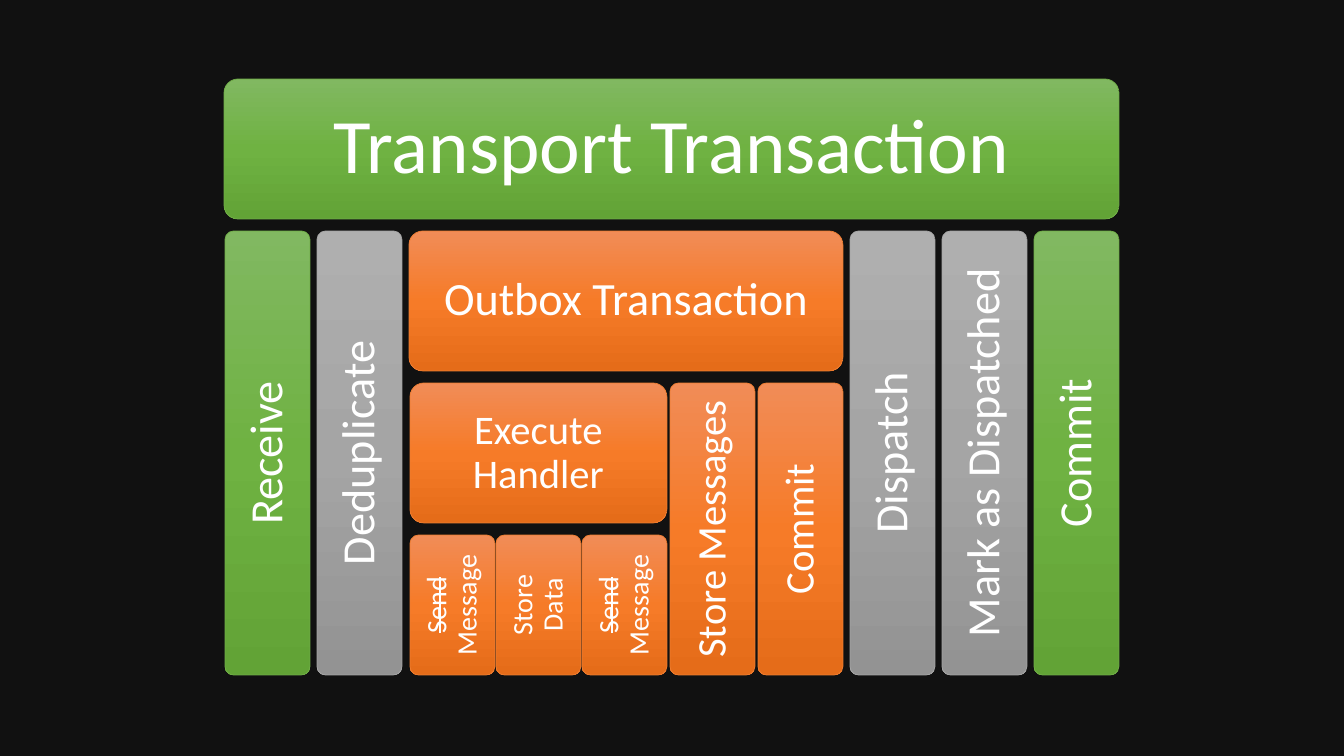
from copy import deepcopy

from pptx import Presentation
from pptx.dml.color import RGBColor
from pptx.enum.shapes import MSO_SHAPE
from pptx.enum.text import MSO_ANCHOR, PP_ALIGN
from pptx.oxml.ns import qn
from pptx.util import Pt

EMU_PER_PX = 914400 / 100.8

BACKGROUND = RGBColor(0x11, 0x11, 0x11)
WHITE = RGBColor(0xFF, 0xFF, 0xFF)

# Each palette: gradient top, middle, bottom, then outline
GREEN = (RGBColor(0x81, 0xB8, 0x61), RGBColor(0x6F, 0xB2, 0x42),
         RGBColor(0x62, 0xA3, 0x36), RGBColor(0x70, 0xAD, 0x47))
GRAY = (RGBColor(0xAF, 0xAF, 0xAF), RGBColor(0xA5, 0xA5, 0xA5),
        RGBColor(0x93, 0x93, 0x93), RGBColor(0xA5, 0xA5, 0xA5))
ORANGE = (RGBColor(0xF1, 0x8C, 0x57), RGBColor(0xF6, 0x7B, 0x28),
          RGBColor(0xE5, 0x6C, 0x19), RGBColor(0xED, 0x7D, 0x31))

# Four rows of blocks; narrow blocks share one width
FIRST_ROW_TOP = 79
ROW_HEIGHT = 140
ROW_PITCH = 152
NARROW_WIDTH = 85

# Text inset in px for each font size
INSETS = {55: 23, 33: 14, 29: 12, 20: 8}


def px(length):
    return round(length * EMU_PER_PX)


def paint(shape, palette):
    *stop_colors, outline = palette
    fill = shape.fill
    fill.gradient()
    fill.gradient_angle = 270
    stop_list = shape._element.spPr.find(qn("a:gradFill")).find(qn("a:gsLst"))
    stop_list.insert(1, deepcopy(stop_list[0]))
    for stop, color, position in zip(fill.gradient_stops, stop_colors, (0, 0.5, 1)):
        stop.color.rgb = color
        stop.position = position
    shape.line.color.rgb = outline
    shape.line.width = Pt(0.5)
    shape.shadow.inherit = False


def write_label(shape, text, size, struck=""):
    text_frame = shape.text_frame
    text_frame.word_wrap = True
    text_frame.vertical_anchor = MSO_ANCHOR.MIDDLE
    inset = px(INSETS[size])
    text_frame.margin_left = text_frame.margin_right = inset
    text_frame.margin_top = text_frame.margin_bottom = inset
    text_frame.text = struck or text
    paragraph = text_frame.paragraphs[0]
    paragraph.alignment = PP_ALIGN.CENTER
    paragraph.line_spacing = 0.9
    if struck:
        paragraph.runs[0].font._element.set("strike", "sngStrike")
        paragraph.add_run().text = text
    for run in paragraph.runs:
        run.font.name = "Calibri"
        run.font.size = Pt(size)
        run.font.color.rgb = WHITE


def add_block(slide, left, row, width, text, size, palette, row_span=1, struck=""):
    top = FIRST_ROW_TOP + row * ROW_PITCH
    height = ROW_HEIGHT + (row_span - 1) * ROW_PITCH
    shape = slide.shapes.add_shape(MSO_SHAPE.ROUNDED_RECTANGLE,
                                   px(left), px(top), px(width), px(height))
    shape.adjustments[0] = 0.1
    paint(shape, palette)
    write_label(shape, text, size, struck)
    return shape


def add_upright_block(slide, left, row, text, size, palette, row_span=1, struck=""):
    shape = add_block(slide, left, row, NARROW_WIDTH, text, size, palette,
                      row_span, struck)
    shape.text_frame._txBody.bodyPr.set("vert", "vert270")


def main():
    presentation = Presentation()
    presentation.slide_width = px(1344)
    presentation.slide_height = px(756)
    slide = presentation.slides.add_slide(presentation.slide_layouts[6])
    slide.background.fill.solid()
    slide.background.fill.fore_color.rgb = BACKGROUND

    # Transport transaction and its steps on both sides of the outbox
    add_block(slide, 224, 0, 895, "Transport Transaction", 55, GREEN)
    before_outbox = [("Receive", GREEN), ("Deduplicate", GRAY)]
    after_outbox = [("Dispatch", GRAY), ("Mark as Dispatched", GRAY), ("Commit", GREEN)]
    for group_left, steps in ((225, before_outbox), (850, after_outbox)):
        for index, (text, palette) in enumerate(steps):
            add_upright_block(slide, group_left + index * 92, 1, text, 33,
                              palette, row_span=3)

    # Outbox transaction and its steps
    add_block(slide, 409, 1, 434, "Outbox Transaction", 33, ORANGE)
    add_block(slide, 410, 2, 257, "Execute Handler", 29, ORANGE)
    for index, text in enumerate(("Store Messages", "Commit")):
        add_upright_block(slide, 670 + index * 88, 2, text, 29, ORANGE, row_span=2)

    # Work done by the handler
    handler_steps = [("Send", " Message"), ("", "Store Data"), ("Send", " Message")]
    for index, (struck, text) in enumerate(handler_steps):
        add_upright_block(slide, 410 + index * 86, 3, text, 20, ORANGE, struck=struck)

    presentation.save("out.pptx")


if __name__ == "__main__":
    main()
